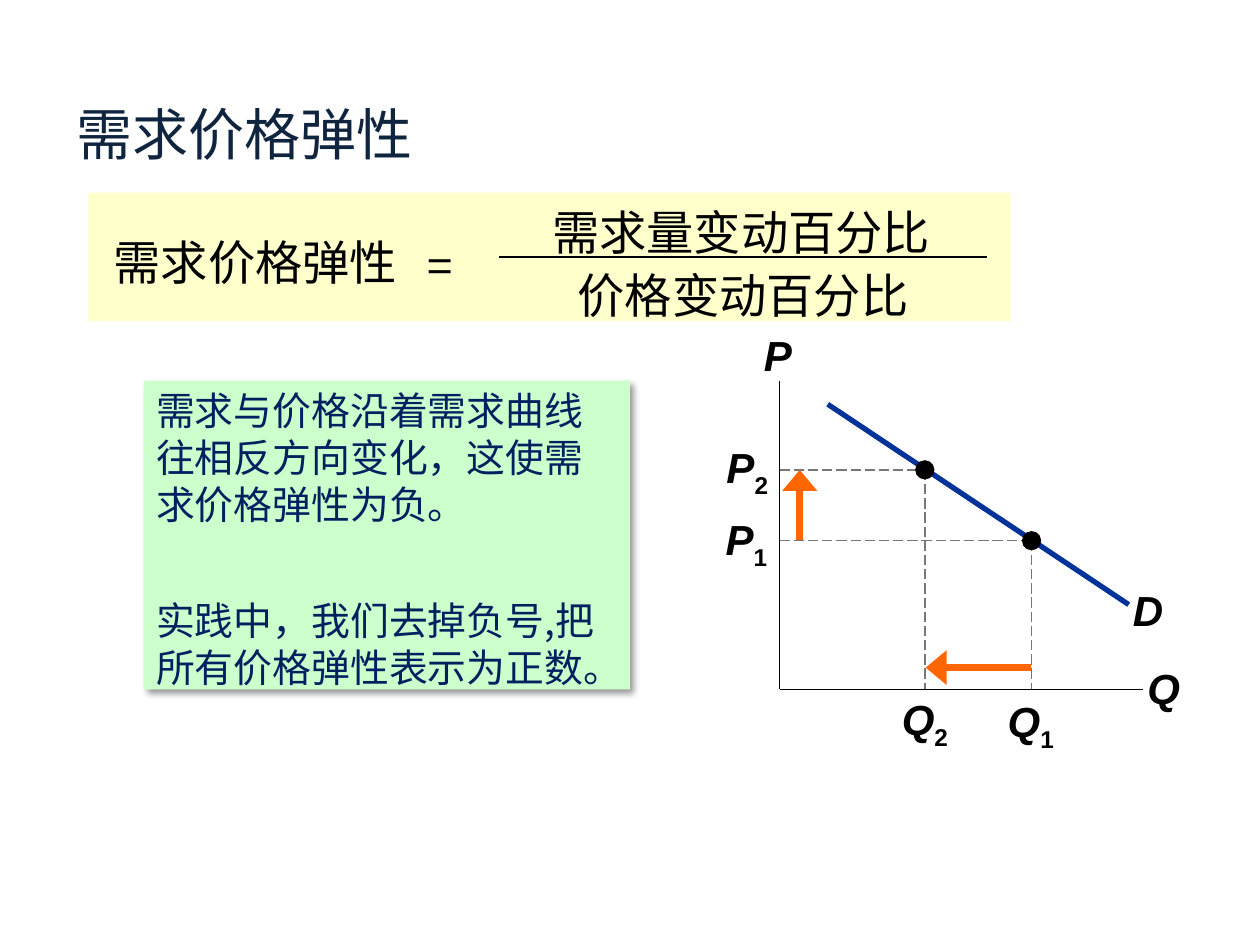
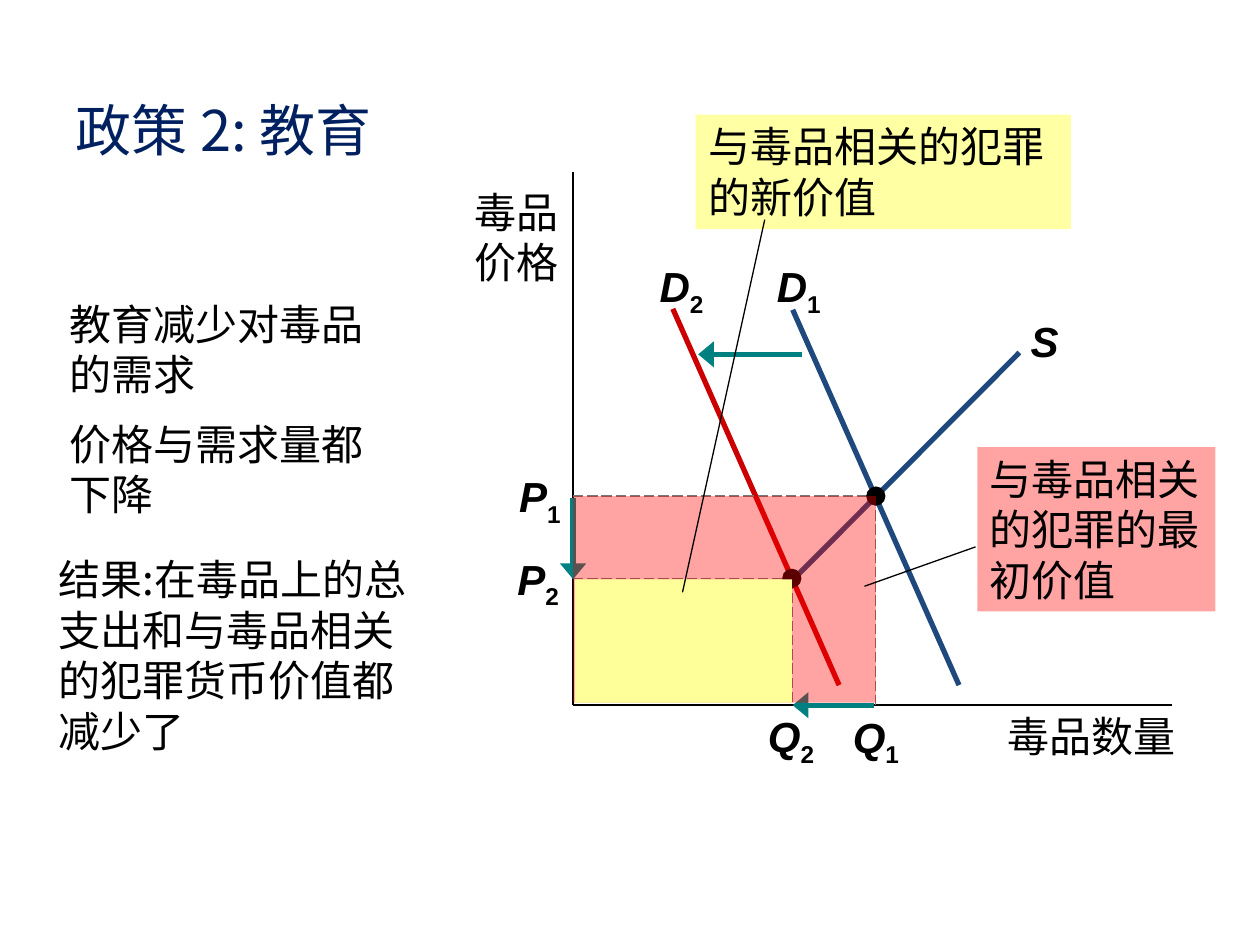
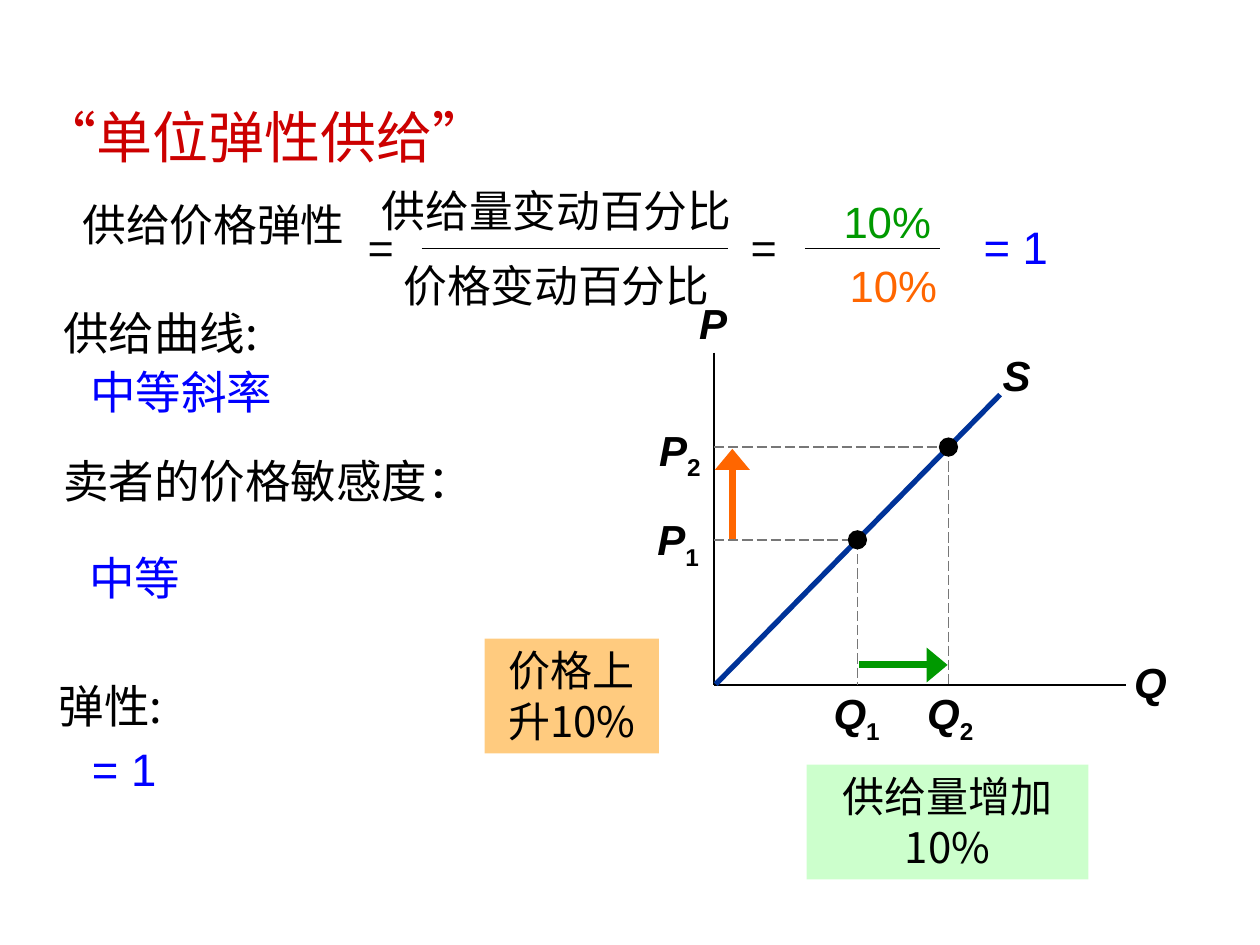
from dataclasses import dataclass

from lxml.etree import SubElement
from pptx import Presentation
from pptx.dml.color import RGBColor as Rgb
from pptx.enum.dml import MSO_LINE as Dash
from pptx.enum.shapes import MSO_CONNECTOR as Connector, MSO_SHAPE as Preset
from pptx.enum.text import MSO_ANCHOR as Anchor, MSO_AUTO_SIZE as AutoSize, PP_ALIGN as Align
from pptx.oxml.ns import qn
from pptx.util import Pt


@dataclass(frozen=True)
class Theme:
    latin: str = "Arial"
    chinese: str = "Noto Sans CJK SC"
    black: str = "000000"
    navy: str = "002060"
    dark_navy: str = "0F243E"
    curve_blue: str = "003399"
    steel: str = "1F497D"
    crimson: str = "CC0000"
    red: str = "FF0000"
    yellow: str = "FFFF00"
    pale_yellow: str = "FFFF99"
    cream: str = "FFFFCC"
    mint: str = "CCFFCC"
    orange: str = "FF6600"
    amber: str = "FF9900"
    green: str = "009900"
    teal: str = "008080"
    blue: str = "0000FF"
    guide: str = "777777"
    title_size: float = 32
    formula_size: float = 27
    list_size: float = 26
    ratio_size: float = 25
    body_size: float = 24
    note_size: float = 22.2


theme = Theme()


def add_text(slide, text, place, holder=None, fill=None, alpha=None, size=theme.body_size,
             color=theme.black, font=theme.chinese, bold=False, italic=False, sub="",
             align=Align.LEFT, anchor=Anchor.TOP, gap=0, spacing=None):
    left, top, width, height = (Pt(value) for value in place)
    if holder is not None:
        box = holder
        box.left, box.top, box.width, box.height = left, top, width, height
    elif fill:
        box = slide.shapes.add_shape(Preset.RECTANGLE, left, top, width, height)
        box.shadow.inherit = False
        box.line.fill.background()
    else:
        box = slide.shapes.add_textbox(left, top, width, height)
    if fill:
        box.fill.solid()
        box.fill.fore_color.rgb = Rgb.from_string(fill)
        if alpha:
            tint = box.fill._xPr.find(qn("a:solidFill"))[0]
            SubElement(tint, qn("a:alpha"), val=str(alpha * 1000))
    frame = box.text_frame
    frame.word_wrap = True
    frame.auto_size = AutoSize.NONE
    frame.vertical_anchor = anchor
    for index, line in enumerate(text.split("\n")):
        para = frame.add_paragraph() if index else frame.paragraphs[0]
        properties = para._p.get_or_add_pPr()
        properties.set("marL", "0")
        properties.set("indent", "0")
        SubElement(properties, qn("a:buNone"))
        para.alignment = align
        para.space_before = Pt(gap if index else 0)
        if spacing:
            para.line_spacing = spacing
        for part in filter(None, (line, sub)):
            span = para.add_run()
            span.text = part
            span.font.name = font
            span.font.size = Pt(size)
            span.font.bold = bold
            span.font.italic = italic and part == line
            span.font.color.rgb = Rgb.from_string(color)
            SubElement(span.font._element, qn("a:ea"), typeface=theme.chinese)
            if part == sub:
                span.font._element.set("baseline", "-25000")
    return box


def add_line(slide, start, end, color=theme.black, width=1, dash=None, arrow=False):
    line = slide.shapes.add_connector(Connector.STRAIGHT, *(Pt(value) for value in (*start, *end)))
    line.line.color.rgb = Rgb.from_string(color)
    line.line.width = Pt(width)
    if dash:
        line.line.dash_style = dash
    if arrow:
        SubElement(line.line._get_or_add_ln(), qn("a:tailEnd"), type="triangle", w="lg", len="med")
    SubElement(line._element.spPr, qn("a:effectLst"))


deck = Presentation()
deck.slide_width, deck.slide_height = Pt(720), Pt(540)

titles = [
    ("需求价格弹性", (36.5, 44.5, 281, 63.5), theme.dark_navy, 1),
    ("政策 2: 教育", (36, 48, 648, 51), theme.navy, 1),
    ("“单位弹性供给”", (16, 53.5, 669, 49), theme.crimson, 5),
]
for text, place, color, layout in titles:
    page = deck.slides.add_slide(deck.slide_layouts[layout])
    add_text(page, text, place, holder=page.shapes.title, size=theme.title_size,
             color=color, anchor=Anchor.MIDDLE)
elasticity, policy, supply = deck.slides

graphs = [
    dict(page=elasticity, origin=(445.5, 394), top=217.5, right=653, arrow_width=4,
         curves=[((473, 231), (645, 345.5), theme.curve_blue)],
         points=[(528.5, 268.5), (589.5, 309)],
         arrows=[((457, 308.5), (457, 268.5), theme.orange), ((589, 381.5), (529, 381.5), theme.orange)],
         labels=[("P", "", 420.5, 185, 48), ("Q", "", 641, 375, 48), ("D", "", 632, 330.5, 48),
                 ("Q", "2", 505.5, 393, 46), ("P", "2", 399, 249, 47),
                 ("P", "1", 397.5, 290, 48), ("Q", "1", 567.5, 394, 43)]),
    dict(page=policy, origin=(327.5, 403), top=98.5, right=670, arrow_width=3,
         curves=[((453, 177), (548, 391.5), theme.steel), ((432.5, 352), (582.5, 201.5), theme.steel),
                 ((384.5, 176.5), (479.5, 391.5), theme.crimson)],
         points=[(500.5, 283.5), (452.5, 330.5)],
         arrows=[((458.5, 202.5), (399, 202.5), theme.teal), ((499.5, 403), (453, 403), theme.teal),
                 ((327.5, 284.5), (327.5, 331), theme.teal)],
         labels=[("D", "1", 430.5, 145.5, 52), ("D", "2", 363.5, 145.5, 52), ("S", "", 574.5, 177, 45),
                 ("P", "1", 279.5, 265.5, 48), ("Q", "1", 479, 403, 43),
                 ("P", "2", 279.5, 312.5, 47), ("Q", "2", 429, 402.5, 46)]),
    dict(page=supply, origin=(408, 391.5), top=201.5, right=643.5, arrow_width=4,
         curves=[((409, 391), (571.5, 225.5), theme.curve_blue)],
         points=[(490, 308.5), (542, 255.5)],
         arrows=[((418.5, 308), (418.5, 256.5), theme.orange), ((491, 380), (541.5, 380), theme.green)],
         labels=[("P", "", 380, 166.5, 55), ("Q", "", 630, 371.5, 55), ("S", "", 556, 196, 50),
                 ("Q", "1", 466.5, 389.5, 46), ("P", "1", 359.5, 290, 47),
                 ("Q", "2", 521.5, 389.5, 43), ("P", "2", 359.5, 239, 48)]),
]
dot_size = 11
for graph in graphs:
    page = graph["page"]
    origin_x, origin_y = graph["origin"]
    add_line(page, (origin_x, graph["top"]), (origin_x, origin_y))
    add_line(page, (origin_x, origin_y), (graph["right"], origin_y))
    for start, end, color in graph["curves"]:
        add_line(page, start, end, color, 3)
    for x, y in graph["points"]:
        add_line(page, (origin_x, y), (x, y), theme.guide, 0.75, Dash.LONG_DASH)
        add_line(page, (x, y), (x, origin_y), theme.guide, 0.75, Dash.LONG_DASH)
        dot = page.shapes.add_shape(Preset.OVAL, Pt(x - dot_size / 2), Pt(y - dot_size / 2),
                                    Pt(dot_size), Pt(dot_size))
        dot.shadow.inherit = False
        dot.fill.solid()
        dot.fill.fore_color.rgb = Rgb.from_string(theme.black)
        dot.line.fill.background()
    for name, sub, left, top, width in graph["labels"]:
        add_text(page, name, (left, top, width, 36), font=theme.latin, bold=True, italic=True,
                 sub=sub, align=Align.RIGHT if name == "P" and sub else Align.CENTER)
    for start, end, color in graph["arrows"]:
        add_line(page, start, end, color, graph["arrow_width"], arrow=True)

note = add_text(elasticity,
                "需求与价格沿着需求曲线往相反方向变化，这使需求价格弹性为负。\n"
                "实践中，我们去掉负号,把所有价格弹性表示为正数。",
                (82, 217.5, 278, 176.5), holder=elasticity.placeholders[1], fill=theme.mint,
                size=theme.note_size, color=theme.navy, gap=40)
effects = SubElement(note._element.spPr, qn("a:effectLst"))
shadow = SubElement(effects, qn("a:outerShdw"), blurRad=str(Pt(4)), dist=str(Pt(3)),
                    dir="2700000", algn="tl", rotWithShape="0")
shade = SubElement(shadow, qn("a:srgbClr"), val=theme.black)
SubElement(shade, qn("a:alpha"), val="40000")

add_text(elasticity, "", (50.5, 110, 527, 73.5), fill=theme.cream)
formula = [
    ("需求价格弹性", (53.5, 129.5, 185, 39.5), theme.formula_size),
    ("=", (235.5, 132.5, 31.5, 29.5), theme.list_size),
    ("需求量变动百分比", (278.5, 112.5, 290, 30), theme.formula_size),
    ("价格变动百分比", (279.5, 148.5, 290, 31), theme.formula_size),
]
for text, place, size in formula:
    add_text(elasticity, text, place, fill=theme.cream, size=size, align=Align.CENTER)
add_line(elasticity, (285, 147), (564, 147))

add_text(policy, "毒品价格", (249, 103, 77, 65.5), font=theme.latin, align=Align.RIGHT)
add_text(policy, "毒品数量", (562.5, 402.5, 116.5, 36.5), align=Align.RIGHT)
add_text(policy, "", (327.5, 283.5, 173, 118), fill=theme.red, alpha=36)
add_text(policy, "与毒品相关的犯罪的最初价值", (558.5, 255.5, 136, 94), fill=theme.red, alpha=36)
add_line(policy, (494, 335), (557.5, 312.5), width=0.75)
add_text(policy, "", (328.5, 331, 124, 70.5), fill=theme.pale_yellow)
add_text(policy, "与毒品相关的犯罪的新价值", (397.5, 65.5, 214.5, 65.5), fill=theme.yellow, alpha=36)
add_line(policy, (437, 125.5), (390, 338.5), width=0.75)
add_text(policy, "教育减少对毒品的需求\n价格与需求量都下降", (32.5, 167, 193, 138),
         holder=policy.placeholders[1], gap=11)
add_text(policy, "结果:在毒品上的总支出和与毒品相关的犯罪货币价值都减少了", (26.5, 313, 224.5, 124))

ratios = [
    ("供给价格弹性", (32.5, 109.5, 179, 36), theme.ratio_size, theme.black, theme.chinese),
    ("=", (200, 122.5, 36, 38), theme.list_size, theme.black, theme.chinese),
    ("供给量变动百分比\n价格变动百分比", (192, 101.5, 252, 83), theme.ratio_size, theme.black, theme.chinese),
    ("=", (418.5, 122.5, 36, 38), theme.list_size, theme.black, theme.chinese),
    ("10%", (461, 107.5, 92, 37.5), theme.ratio_size, theme.green, theme.latin),
    ("10%", (464.5, 144.5, 92, 37.5), theme.ratio_size, theme.orange, theme.latin),
    ("= 1", (553.5, 121.5, 54, 38), theme.list_size, theme.blue, theme.latin),
]
for text, place, size, color, font in ratios:
    add_text(supply, text, place, size=size, color=color, font=font, align=Align.CENTER, gap=13)
for left, right in [(241, 416), (460, 537)]:
    add_line(supply, (left, 142), (right, 142))

traits = [
    ("供给曲线:", (29, 169, 196.5, 42), theme.black, theme.chinese),
    ("中等斜率", (44.5, 203, 228, 42), theme.blue, theme.chinese),
    ("卖者的价格敏感度：", (29, 253.5, 267, 76.5), theme.black, theme.chinese),
    ("中等", (44, 309.5, 206.5, 39), theme.blue, theme.chinese),
    ("弹性:", (26.5, 382.5, 127.5, 42.5), theme.black, theme.chinese),
    ("= 1", (45.5, 418.5, 144, 42.5), theme.blue, theme.latin),
]
for text, place, color, font in traits:
    add_text(supply, text, place, size=theme.list_size, color=color, font=font, spacing=1.05)

add_text(supply, "供给量增加10%", (461, 437, 161, 65.5), fill=theme.mint, align=Align.CENTER)
add_text(supply, "价格上升10%", (277, 365, 99.5, 65.5), fill=theme.amber, alpha=50, align=Align.CENTER)

deck.save("out.pptx")
